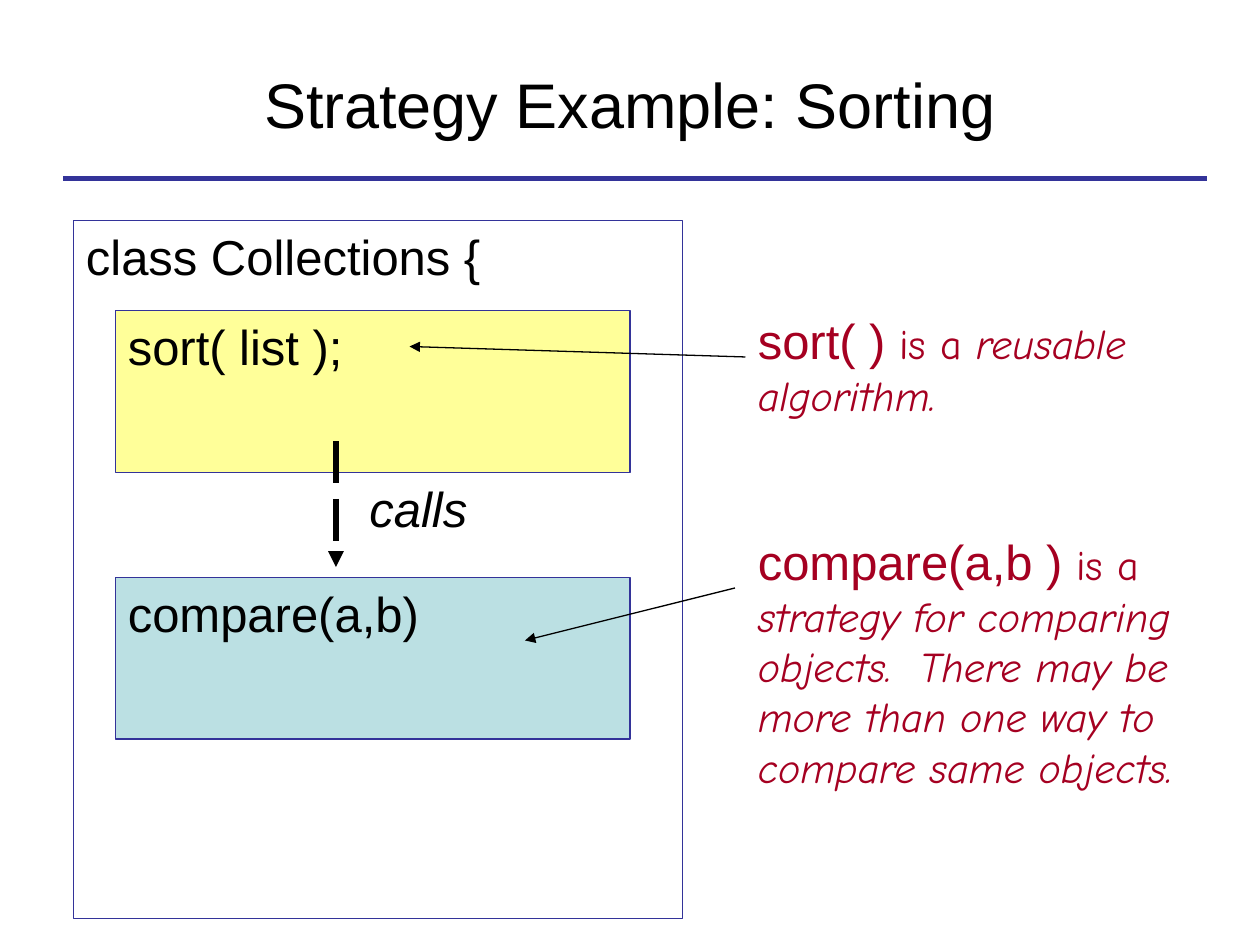
from dataclasses import dataclass

from lxml.etree import SubElement
from pptx import Presentation
from pptx.dml.color import RGBColor
from pptx.enum.dml import MSO_LINE
from pptx.enum.shapes import MSO_CONNECTOR as Connector, MSO_SHAPE as Shape
from pptx.enum.text import MSO_ANCHOR as Anchor, PP_ALIGN as Align
from pptx.oxml.ns import qn
from pptx.util import Emu, Pt

EMU_PER_PX = 7620


@dataclass(frozen=True)
class Theme:
    ink: str = "000000"
    border: str = "333399"
    note: str = "A50021"
    sort_fill: str = "FFFF99"
    compare_fill: str = "BBE0E3"
    code_font: str = "Arial"
    note_font: str = "Comic Neue"
    title_size: int = 36
    code_size: int = 28
    note_size: int = 24
    thin: float = 0.75
    thick: float = 3


def px(*lengths):
    return [Emu(length * EMU_PER_PX) for length in lengths]


def color(code):
    return RGBColor.from_string(code)


def add_run(paragraph, text, *, size, font, ink, italic=False):
    run = paragraph.add_run()
    run.text = text
    run.font.size = Pt(size)
    run.font.name = font
    run.font.italic = italic
    run.font.color.rgb = color(ink)


class SlideBuilder:
    """Draws themed elements on one slide."""

    def __init__(self, slide, theme):
        self.slide = slide
        self.theme = theme

    def code(self, paragraph, text, **changes):
        theme = self.theme
        style = dict(size=theme.code_size, font=theme.code_font, ink=theme.ink)
        add_run(paragraph, text, **(style | changes))

    def text_box(self, bounds, anchor=Anchor.TOP, align=Align.LEFT):
        frame = self.slide.shapes.add_textbox(*px(*bounds)).text_frame
        frame.word_wrap = True
        frame.vertical_anchor = anchor
        paragraph = frame.paragraphs[0]
        paragraph.alignment = align
        return paragraph

    def title(self, bounds, text):
        paragraph = self.text_box(bounds, Anchor.MIDDLE, Align.CENTER)
        self.code(paragraph, text, size=self.theme.title_size)

    def label(self, bounds, text):
        self.code(self.text_box(bounds), text, italic=True)

    def note(self, bounds, method, link, description):
        theme = self.theme
        paragraph = self.text_box(bounds)
        self.code(paragraph, method, ink=theme.note)
        style = dict(size=theme.note_size, font=theme.note_font, ink=theme.note)
        add_run(paragraph, link, **style)
        add_run(paragraph, description, italic=True, **style)

    def code_block(self, bounds, text, fill=None):
        shape = self.slide.shapes.add_shape(Shape.RECTANGLE, *px(*bounds))
        shape.shadow.inherit = False
        if fill:
            shape.fill.solid()
            shape.fill.fore_color.rgb = color(fill)
        else:
            shape.fill.background()
        shape.line.color.rgb = color(self.theme.border)
        shape.line.width = Pt(self.theme.thin)
        frame = shape.text_frame
        frame.word_wrap = True
        frame.vertical_anchor = Anchor.TOP
        paragraph = frame.paragraphs[0]
        paragraph.alignment = Align.LEFT
        self.code(paragraph, text)

    def line(self, start, end, ink, width):
        connector = self.slide.shapes.add_connector(
            Connector.STRAIGHT, *px(*start, *end))
        connector.line.color.rgb = color(ink)
        connector.line.width = Pt(width)
        SubElement(connector._element.spPr, qn("a:effectLst"))
        return connector

    def arrow(self, start, end, width, dash=None):
        connector = self.line(start, end, self.theme.ink, width)
        if dash:
            connector.line.dash_style = dash
        outline = connector.line._get_or_add_ln()
        SubElement(outline, qn("a:tailEnd"), type="triangle")


def main():
    presentation = Presentation()
    presentation.slide_width, presentation.slide_height = px(1200, 900)
    slide = presentation.slides.add_slide(presentation.slide_layouts[6])
    theme = Theme()
    builder = SlideBuilder(slide, theme)

    builder.line((60, 170), (1150, 170), theme.border, theme.thick)
    builder.title((60, 36, 1080, 124), "Strategy Example: Sorting")
    builder.code_block((70, 210, 580, 665), "class Collections {")
    builder.code_block((110, 296, 490, 154), "sort( list );", theme.sort_fill)
    builder.code_block((110, 550, 490, 154), "compare(a,b)", theme.compare_fill)

    builder.note((710, 290, 430, 116), "sort( ) ", "is a ", "reusable algorithm.")
    builder.arrow((710, 340), (390, 330), theme.thin)
    builder.arrow((320, 420), (320, 540), theme.thick, MSO_LINE.LONG_DASH)
    builder.note(
        (710, 500, 430, 260), "compare(a,b ) ", "is a ",
        "strategy for comparing objects.  There may be more than one way "
        "to compare same objects.")
    builder.arrow((700, 560), (500, 610), theme.thin)
    builder.label((340, 450, 130, 68), "calls")

    presentation.save("out.pptx")


if __name__ == "__main__":
    main()
